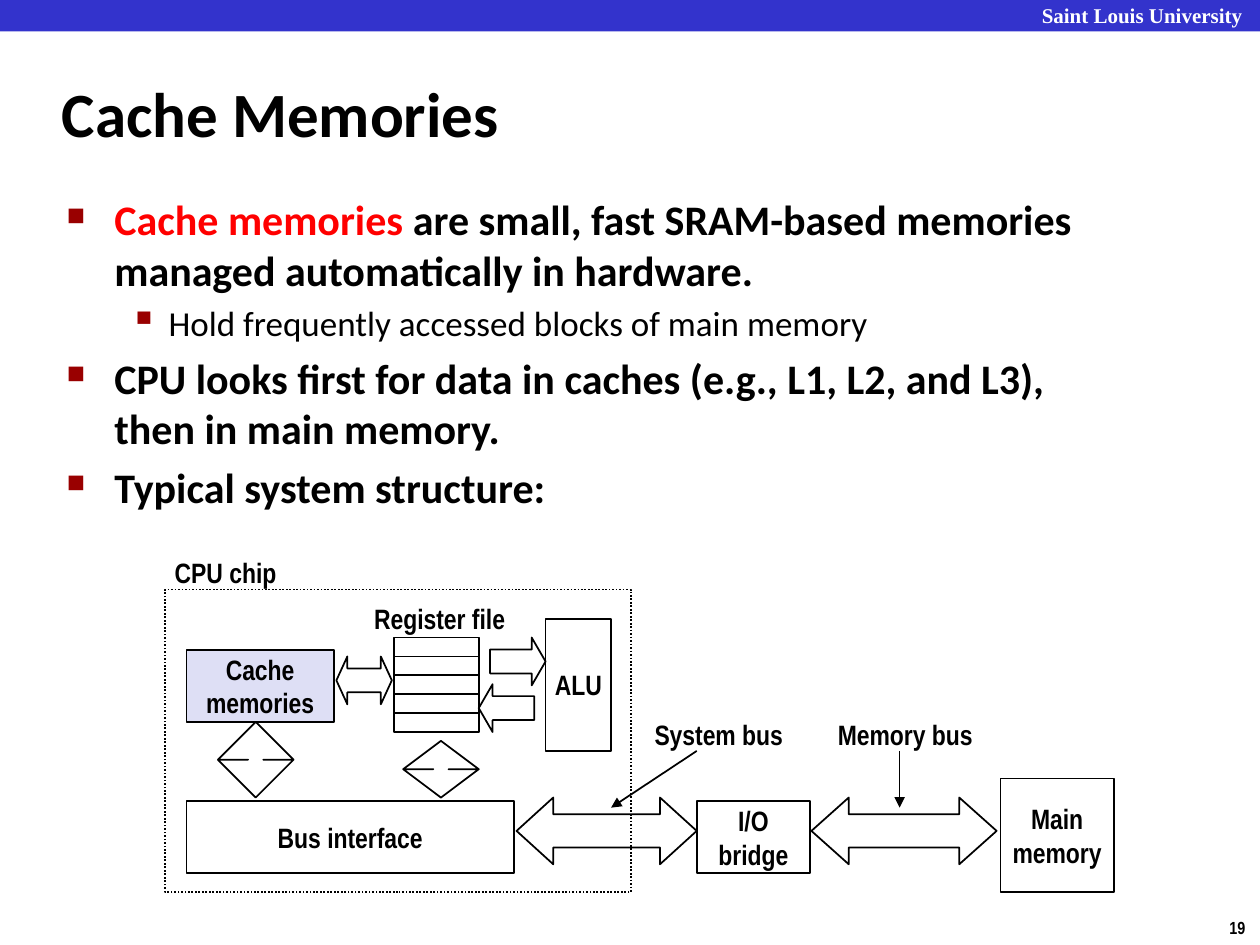
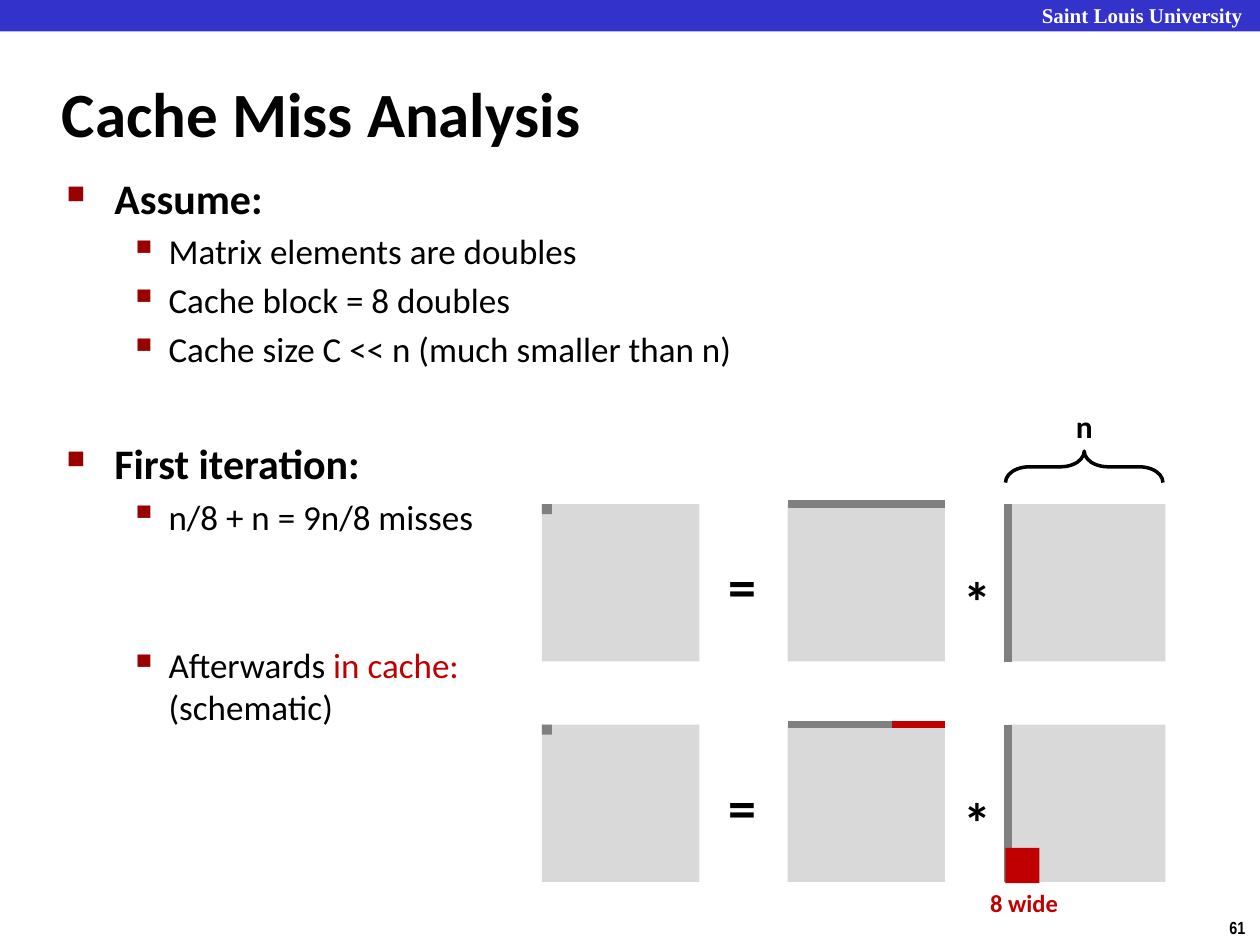
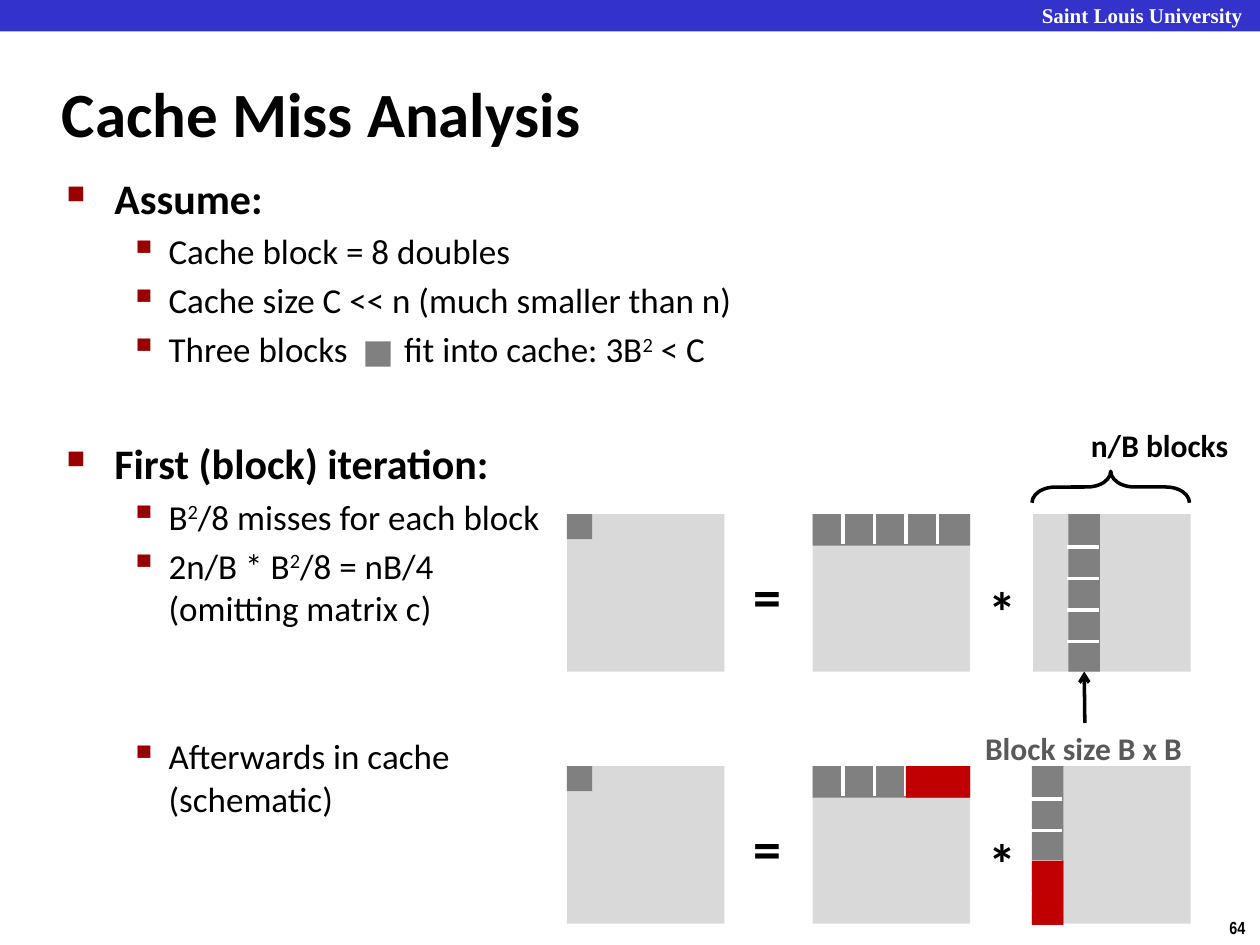
"""Build three slides on cache memories and cache misses."""
from lxml.etree import SubElement
from pptx import Presentation
from pptx.dml.color import RGBColor
from pptx.enum.dml import MSO_LINE
from pptx.enum.shapes import MSO_CONNECTOR, MSO_SHAPE
from pptx.enum.text import MSO_ANCHOR, MSO_AUTO_SIZE, PP_ALIGN
from pptx.oxml.ns import qn
from pptx.util import Inches, Pt

BLACK, WHITE, BLUE, LILAC = "000000", "FFFFFF", "3333CC", "DEDFF5"
LIGHT, GRAY, DARK = "D9D9D9", "808080", "595959"
RED, BRIGHT, MAROON = "C00000", "FF0000", "990000"
SANS, NARROW, SERIF = "Calibri", "Arial Narrow", "Times New Roman"
SCHOOL = "Saint Louis University"

LEVELS = [
    dict(size=24, bold=True, left=0.38, hang=0.38, mark="■", scale=60, gap=4.8),
    dict(size=20, bold=False, left=0.81, hang=0.31, mark="▪", scale=110, gap=4),
]
TAB = 2.68
SUP = ("2", {"sup": True})

# level, text or runs, count of open lines above with their size
INTRO = [
    (0, [("Cache memories ", {"color": BRIGHT}),
         "are small, fast SRAM-based memories managed automatically in hardware."]),
    (1, "Hold frequently accessed blocks of main memory"),
    (0, "CPU looks first for data in caches (e.g., L1, L2, and L3), then in main memory."),
    (0, "Typical system structure:"),
]
PLAIN = [
    (0, "Assume:"),
    (1, "Matrix elements are doubles"),
    (1, "Cache block = 8 doubles"),
    (1, "Cache size C << n (much smaller than n)"),
    (0, "First iteration:", 34),
    (1, "n/8 + n = 9n/8 misses"),
    (1, ["Afterwards ", ("in cache:\n", {"color": RED}), "(schematic)"], 57),
]
BLOCKED = [
    (0, "Assume:"),
    (1, "Cache block = 8 doubles"),
    (1, "Cache size C << n (much smaller than n)"),
    (1, ["Three blocks\tfit into cache: 3B", SUP, " < C"]),
    (0, "First (block) iteration:", 34),
    (1, ["B", SUP, "/8 misses for each block"]),
    (1, ["2n/B * B", SUP, "/8 = nB/4\n(omitting matrix c)"]),
    (1, "Afterwards in cache\n(schematic)", 57),
]

UNITS = [
    ("Main\nmemory", 7.94, 6.18, 0.9, 0.9, None),
    ("I/O\nbridge", 5.53, 6.36, 0.9, 0.57, None),
    ("Bus interface", 1.48, 6.36, 2.6, 0.57, None),
    ("ALU", 4.33, 4.91, 0.52, 1.05, None),
    ("Cache\nmemories", 1.48, 5.16, 1.17, 0.57, LILAC),
]
ARROWS = [
    ("LEFT_RIGHT_ARROW", 6.44, 6.33, 1.47, 0.53, 0.56),
    ("LEFT_RIGHT_ARROW", 4.1, 6.33, 1.43, 0.53, 0.55),
    ("LEFT_RIGHT_ARROW", 2.67, 5.21, 0.44, 0.38, 0.23),
    ("RIGHT_ARROW", 3.89, 5.06, 0.44, 0.38, 0.29),
    ("LEFT_ARROW", 3.8, 5.43, 0.44, 0.38, 0.29),
    ("UP_DOWN_ARROW", 3.2, 5.88, 0.6, 0.45, 0.2),
    ("UP_DOWN_ARROW", 1.73, 5.73, 0.6, 0.6, 0.2),
]
LABELS = [
    ("Register file", 2.86, 4.72, 1.26),
    ("CPU chip", 1.28, 4.36, 1.02),
    ("System bus", 5.09, 5.64, 1.23),
    ("Memory bus", 6.54, 5.64, 1.29),
]
POINTERS = [(5.53, 5.96, 4.85, 6.41), (7.14, 5.96, 7.14, 6.41)]
SIDE, CELL = 1.25, 0.25
LEFT_AT, RIGHT_AT = 1.95, 3.7


def rgb(code):
    """Turn a hex string into a colour."""
    return RGBColor.from_string(code)


def write(para, text, size=16, face=NARROW, color=BLACK, bold=True, align=PP_ALIGN.LEFT):
    """Write text, or a list of runs, into a paragraph."""
    para.alignment = align
    for part in [text] if isinstance(text, str) else text:
        words, extra = (part, {}) if isinstance(part, str) else part
        for row, line in enumerate(words.split("\n")):
            if row:
                para.add_line_break()
            if not line:
                continue
            run = para.add_run()
            run.text = line
            font = run.font
            font.size, font.name, font.bold = Pt(size), face, bold
            font.color.rgb = rgb(extra.get("color", color))
            if extra.get("sup"):
                run._r.get_or_add_rPr().set("baseline", "30000")


def label(slide, text, x, y, w, h, anchor=MSO_ANCHOR.TOP, **form):
    """Add a one-line text box."""
    box = slide.shapes.add_textbox(Inches(x), Inches(y), Inches(w), Inches(h))
    box.text_frame.word_wrap = False
    box.text_frame.vertical_anchor = anchor
    write(box.text_frame.paragraphs[0], text, **form)
    return box


def block(slide, x, y, w, h, fill=None, line=None, kind="RECTANGLE", text="", width=1):
    """Add a preset shape with centred text."""
    shape = slide.shapes.add_shape(
        getattr(MSO_SHAPE, kind), Inches(x), Inches(y), Inches(w), Inches(h))
    shape.shadow.inherit = False
    if fill:
        shape.fill.solid()
        shape.fill.fore_color.rgb = rgb(fill)
    else:
        shape.fill.background()
    if line:
        shape.line.color.rgb = rgb(line)
        shape.line.width = Pt(width)
    else:
        shape.line.fill.background()
    if text:
        frame = shape.text_frame
        frame.word_wrap = False
        frame.vertical_anchor = MSO_ANCHOR.MIDDLE
        for row, part in enumerate(text.split("\n")):
            para = frame.add_paragraph() if row else frame.paragraphs[0]
            write(para, part, align=PP_ALIGN.CENTER)
    return shape


def rule(slide, x1, y1, x2, y2, color=BLACK, width=1, tail=None):
    """Add a straight line, with an arrowhead if asked."""
    link = slide.shapes.add_connector(
        MSO_CONNECTOR.STRAIGHT, Inches(x1), Inches(y1), Inches(x2), Inches(y2))
    link.line.color.rgb = rgb(color)
    link.line.width = Pt(width)
    if tail:
        SubElement(link.line._get_or_add_ln(), qn("a:tailEnd"), type=tail)
    SubElement(link._element.spPr, qn("a:effectLst"))
    return link


def bullets(slide, items, top, height):
    """Add the two-level bullet text."""
    box = slide.shapes.add_textbox(Inches(0.43), Inches(top), Inches(8.64), Inches(height))
    frame = box.text_frame
    frame.word_wrap = True
    for row, (level, text, *space) in enumerate(items):
        para = frame.add_paragraph() if row else frame.paragraphs[0]
        look = LEVELS[level]
        para.level = level
        props = para._p.get_or_add_pPr()
        props.set("marL", str(Inches(look["left"])))
        props.set("indent", str(-Inches(look["hang"])))
        tint = SubElement(props, qn("a:buClr"))
        SubElement(tint, qn("a:srgbClr"), val=MAROON)
        SubElement(props, qn("a:buSzPct"), val=str(look["scale"] * 1000))
        SubElement(props, qn("a:buChar"), char=look["mark"])
        if any("\t" in part for part in text):
            tabs = SubElement(props, qn("a:tabLst"))
            SubElement(tabs, qn("a:tab"), pos=str(Inches(TAB)), algn="l")
        if row:
            para.space_before = Pt(look["gap"] + sum(space))
        write(para, text, size=look["size"], face=SANS, bold=look["bold"])


def start(deck, title, number, items, top, height):
    """Add a slide with band, title, page number and bullets."""
    slide = deck.slides.add_slide(deck.slide_layouts[5])
    block(slide, 0, 0, 10, 0.25, BLUE)
    label(slide, SCHOOL, 8.17, -0.03, 1.83, 0.3, size=12, face=SERIF, color=WHITE)
    label(slide, number, 9.66, 7.23, 0.34, 0.27, size=10)
    head = slide.shapes.title
    head.left, head.top, head.width, head.height = map(Inches, (0.39, 0.48, 8.3, 0.83))
    head.text_frame.vertical_anchor = MSO_ANCHOR.MIDDLE
    head.text_frame.auto_size = MSO_AUTO_SIZE.NONE
    write(head.text_frame.paragraphs[0], title, size=36, face=SANS)
    bullets(slide, items, top, height)
    return slide


def product(slide, x, y, corner):
    """Add the three squares of a matrix product."""
    for shift in (0, LEFT_AT, RIGHT_AT):
        block(slide, x + shift, y, SIDE, SIDE, LIGHT)
    for sign, dx, dy in (("=", 1.38, 0.33), ("*", 3.25, 0.45)):
        label(slide, sign, x + dx, y + dy, 0.43, 0.64, size=32, face=SANS)
    block(slide, x, y, corner, corner, GRAY)


def brace(slide, x, y):
    """Add a brace that spans one square."""
    shape = block(slide, x, y, CELL, SIDE, line=BLACK, kind="LEFT_BRACE", width=2)
    shape.rotation = 90
    shape.adjustments[0] = 0.75


def strips(slide, x, y, shift):
    """Mark a block row and a block column, cut into cells."""
    row, col = x + LEFT_AT, x + shift
    block(slide, row, y, SIDE, CELL, GRAY)
    column = block(slide, col, y, CELL, SIDE, GRAY)
    for step in range(1, 5):
        cut = step * CELL
        rule(slide, row + cut - 0.01, y - 0.01, row + cut - 0.01, y + 0.24, WHITE, 2)
        rule(slide, col - 0.01, y + cut + 0.01, col + 0.24, y + cut + 0.01, WHITE, 2)
    return column


def system(deck):
    """Build the system structure slide."""
    slide = start(deck, "Cache Memories", "19", INTRO, 1.49, 5.44)
    chip = block(slide, 1.31, 4.68, 3.7, 2.4, line=BLACK)
    chip.line.dash_style = MSO_LINE.ROUND_DOT
    for text, x, y, w, h, fill in UNITS:
        block(slide, x, y, w, h, fill, BLACK, text=text)
    for row in range(5):
        block(slide, 3.13, 5.06 + row * 0.15, 0.67, 0.15, line=BLACK)
    for kind, x, y, w, h, point in ARROWS:
        arrow = block(slide, x, y, w, h, line=BLACK, kind=kind)
        arrow.adjustments[1] = point
    for text, x, y, w in LABELS:
        label(slide, text, x, y, w, 0.37, MSO_ANCHOR.MIDDLE, align=PP_ALIGN.CENTER)
    for ends in POINTERS:
        rule(slide, *ends, tail="triangle")


def simple(deck):
    """Build the slide on misses without blocks."""
    slide = start(deck, "Cache Miss Analysis", "61", PLAIN, 1.32, 3.34)
    x = 4.3
    row, col = x + LEFT_AT, x + RIGHT_AT
    for y in (4, 5.75):
        product(slide, x, y, 0.08)
        rule(slide, row, y, row + SIDE, y, GRAY, 4.5)
        rule(slide, col, y, col, y + SIDE, GRAY, 4.5)
    brace(slide, 8.48, 3.08)
    label(slide, "n", 8.44, 3.18, 0.34, 0.4, size=18, face=SANS)
    rule(slide, 7.08, y, row + SIDE, y, RED, 4.5)
    block(slide, 7.98, 6.73, 0.27, 0.28, RED)
    label(slide, "8 wide", 7.76, 7, 0.74, 0.34, size=14, face=SANS, color=RED)


def tiled(deck):
    """Build the slide on misses with blocks."""
    slide = start(deck, "Cache Miss Analysis", "64", BLOCKED, 1.32, 3.34)
    x, high, low = 4.5, 4.08, 6.08
    block(slide, 2.9, 2.71, 0.2, 0.2, GRAY)
    for y in (low, high):
        product(slide, x, y, 0.2)
    strips(slide, x, low, 3.69)
    block(slide, 7.19, low, 0.51, CELL, RED)
    block(slide, 8.19, 6.83, CELL, 0.51, RED)
    column = strips(slide, x, high, 3.98)
    note = label(slide, "Block size B x B", 7.72, 5.74, 1.78, 0.4,
                 size=18, face=SANS, color=DARK)
    link = rule(slide, 8.61, 5.74, 8.61, 5.33, width=2, tail="arrow")
    link.begin_connect(note, 0)
    link.end_connect(column, 2)
    brace(slide, 8.69, 3.24)
    label(slide, "n/B blocks", 8.56, 3.33, 1.3, 0.4, size=18, face=SANS)


def main():
    """Build and save the deck."""
    deck = Presentation()
    deck.slide_width, deck.slide_height = Inches(10), Inches(7.5)
    for build in (system, simple, tiled):
        build(deck)
    deck.save("out.pptx")


if __name__ == "__main__":
    main()
